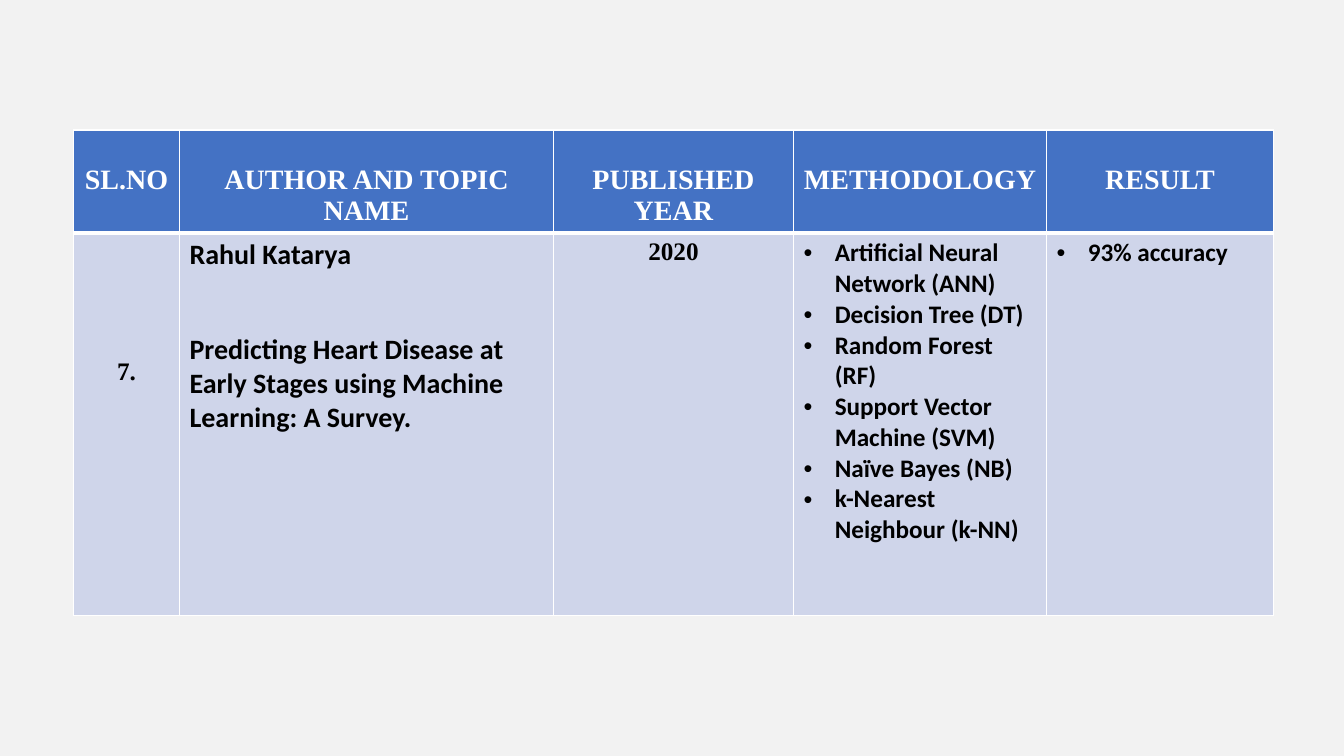
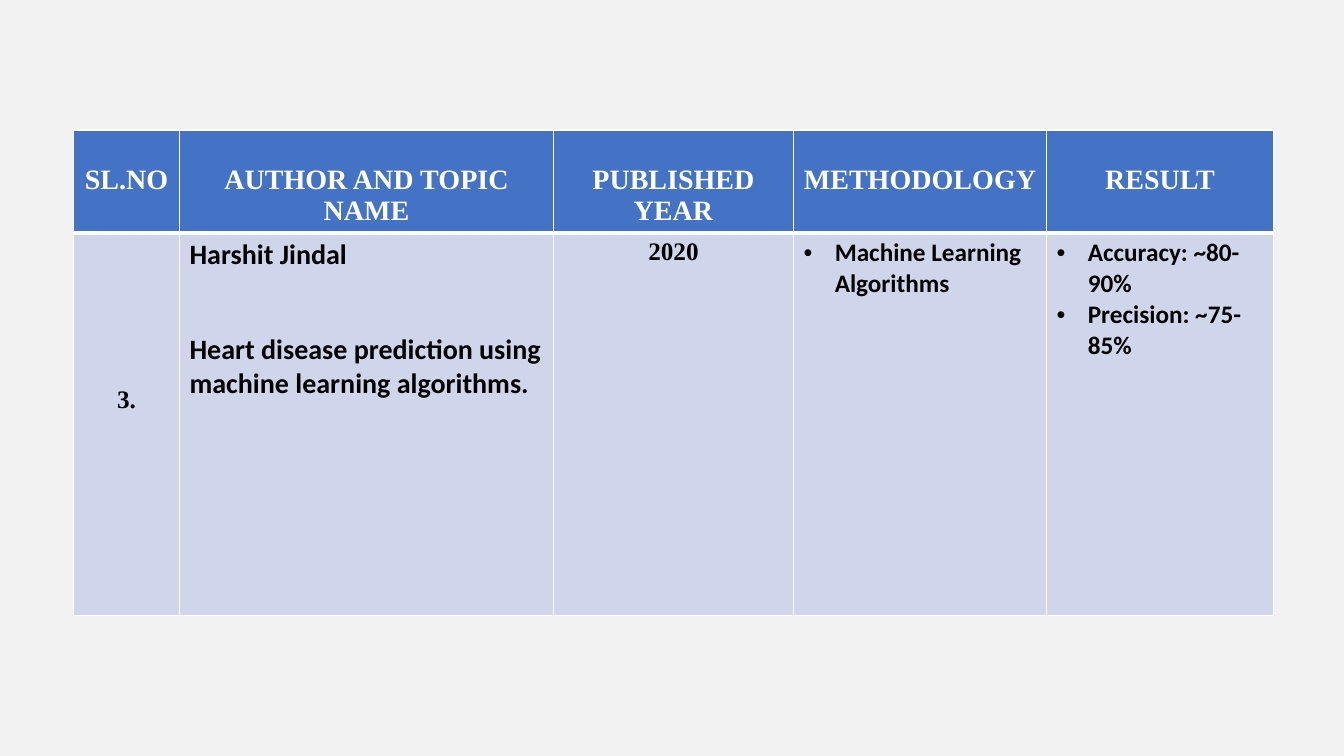
import pptx
import pptx.util
import pptx.dml.color
import pptx.enum.text
import pptx.oxml
import pptx.oxml.ns

Inches, Pt = pptx.util.Inches, pptx.util.Pt
CENTER = pptx.enum.text.PP_ALIGN.CENTER

HEADERS = ["SL.NO", "AUTHOR AND TOPIC NAME", "PUBLISHED YEAR", "METHODOLOGY", "RESULT"]
PAPERS = [
    {
        "number": "7.",
        "number_top": 1.24,
        "author": "Rahul Katarya",
        "topic": "Predicting Heart Disease at Early Stages using Machine Learning: A Survey.",
        "year": "2020",
        "methods": [
            "Artificial Neural Network (ANN)",
            "Decision Tree (DT)",
            "Random Forest (RF)",
            "Support Vector Machine (SVM)",
            "Naïve Bayes (NB)",
            "k-Nearest Neighbour (k-NN)",
        ],
        "results": ["93% accuracy"],
    },
    {
        "number": "3.",
        "number_top": 1.52,
        "author": "Harshit Jindal",
        "topic": "Heart disease prediction using machine learning algorithms.",
        "year": "2020",
        "methods": ["Machine Learning Algorithms"],
        "results": ["Accuracy: ~80-90%", "Precision: ~75-85%"],
    },
]

COL_WIDTHS = [1.05, 3.71, 2.38, 2.51, 2.25]
ROW_HEIGHTS = [1.02, 3.8]
LEFT, TOP = 0.73, 1.29
BACKGROUND, HEADER_FILL, BODY_FILL = "F2F2F2", "4472C4", "CFD5EA"
WHITE, BLACK = "FFFFFF", "000000"
SERIF, SANS = "Times New Roman", "Calibri"
BULLET_INDENT = 0.31


def rgb(value):
    return pptx.dml.color.RGBColor.from_string(value)


def add_child(parent, tag, **attrs):
    child = pptx.oxml.parse_xml(f"<a:{tag} {pptx.oxml.ns.nsdecls('a')}/>")
    for name, value in attrs.items():
        child.set(name, str(value))
    parent.append(child)
    return child


def style_cell(cell, fill, borders, top=0.05, bottom=0.05):
    tcPr = cell._tc.get_or_add_tcPr()
    for side, width in borders.items():
        line = add_child(tcPr, f"ln{side}", w=Pt(width))
        add_child(add_child(line, "solidFill"), "srgbClr", val=WHITE)
    cell.fill.solid()
    cell.fill.fore_color.rgb = rgb(fill)
    cell.margin_top, cell.margin_bottom = Inches(top), Inches(bottom)


def write(cell, lines, size, font, color=BLACK, align=None, bullet=False, gap=0):
    tf = cell.text_frame
    for i, text in enumerate(lines):
        p = tf.add_paragraph() if i else tf.paragraphs[0]
        if align is not None:
            p.alignment = align
        if i and gap:
            p.space_before = Pt(gap)
        if bullet:
            pPr = p._p.get_or_add_pPr()
            pPr.set("marL", str(Inches(BULLET_INDENT)))
            pPr.set("indent", str(-Inches(BULLET_INDENT)))
            add_child(pPr, "buFont", typeface="Arial")
            add_child(pPr, "buChar", char="•")
        r = p.add_run()
        r.text = text
        r.font.size, r.font.name, r.font.bold = Pt(size), font, True
        r.font.color.rgb = rgb(color)


def add_paper(prs, paper):
    s = prs.slides.add_slide(prs.slide_layouts[6])
    s.background.fill.solid()
    s.background.fill.fore_color.rgb = rgb(BACKGROUND)
    table = s.shapes.add_table(
        len(ROW_HEIGHTS), len(COL_WIDTHS), Inches(LEFT), Inches(TOP),
        Inches(sum(COL_WIDTHS)), Inches(sum(ROW_HEIGHTS))).table
    for column, width in zip(table.columns, COL_WIDTHS):
        column.width = Inches(width)
    for row, height in zip(table.rows, ROW_HEIGHTS):
        row.height = Inches(height)

    for i, header in enumerate(HEADERS):
        cell = table.cell(0, i)
        style_cell(cell, HEADER_FILL, {"L": 1, "R": 1, "T": 1, "B": 3}, top=0.34, bottom=0.04)
        write(cell, [header], 20, SERIF, WHITE, CENTER)

    number, author, year, methods, results = body = [table.cell(1, i) for i in range(len(HEADERS))]
    for cell in body:
        top = paper["number_top"] if cell is number else 0.05
        style_cell(cell, BODY_FILL, {"L": 1, "R": 1, "T": 3, "B": 1}, top=top)
    write(number, [paper["number"]], 18, SERIF, align=CENTER)
    write(author, [paper["author"], paper["topic"]], 20, SANS, gap=43)
    write(year, [paper["year"]], 18, SERIF, align=CENTER)
    write(methods, paper["methods"], 18, SANS, bullet=True)
    write(results, paper["results"], 18, SANS, bullet=True)


def main():
    prs = pptx.Presentation()
    prs.slide_width, prs.slide_height = Inches(13.33), Inches(7.5)
    for paper in PAPERS:
        add_paper(prs, paper)
    prs.save("out.pptx")


if __name__ == "__main__":
    main()
